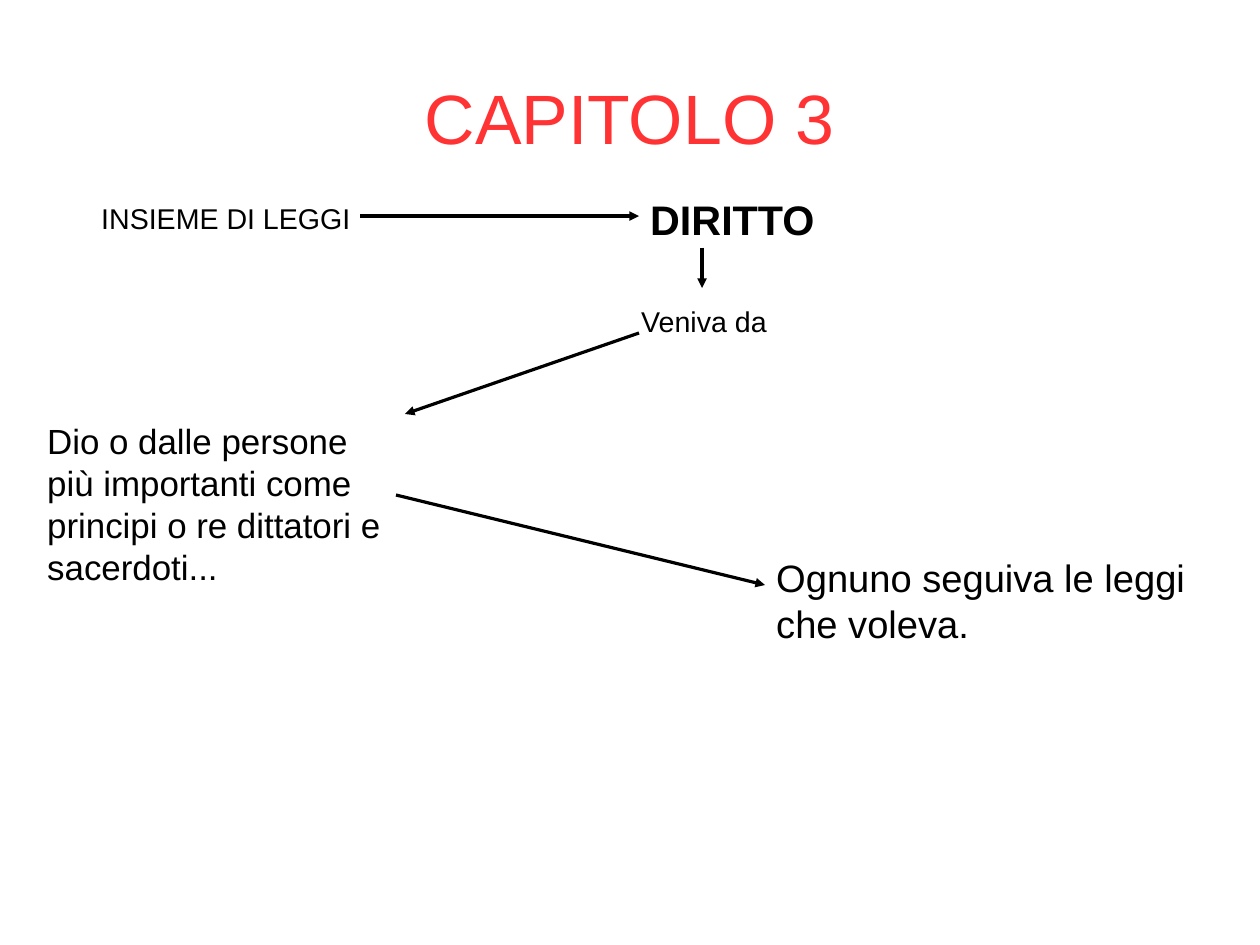
from pptx import Presentation
from pptx.dml.color import RGBColor
from pptx.enum import shapes, text
from pptx.oxml import ns
from pptx.util import Cm, Pt
from lxml import etree

COLOURS = {"title": "FF3333", "ink": "000000"}
FONT = "Arial"

NOTES = [
    ("INSIEME DI LEGGI", (1.2, 0.15, 9.8, 0.97), {"size": Pt(18)}),
    ("DIRITTO", (13.4, 0, 6.2, 1.27), {"size": Pt(26), "bold": True}),
    ("Veniva da", (13.2, 2.43, 4.2, 0.97), {"size": Pt(18)}),
    ("Dio o dalle persone più importanti come principi o re dittatori e sacerdoti...",
     (0, 5, 8, 3.73), {"size": Pt(22)}),
    ("Ognuno seguiva le leggi che voleva.", (16.2, 8, 10.2, 2.13), {"size": Pt(24)}),
]
ARROWS = [
    ((7.2, 0.6), (13.4, 0.6)),
    ((14.8, 1.3), (14.8, 2.2)),
    ((13.4, 3.2), (8.2, 5)),
    ((8, 6.8), (16.2, 8.8)),
]


def apply_format(target, values):
    """Set each attribute in the dict on the target."""
    for name, value in values.items():
        setattr(target, name, value)


def write_text(shape, wording, colour, frame_format, font_format):
    """Write one formatted paragraph into a shape."""
    frame = shape.text_frame
    apply_format(frame, {"word_wrap": True, **frame_format})
    frame.text = wording
    paragraph = frame.paragraphs[0]
    apply_format(paragraph.font, {"name": FONT, **font_format})
    paragraph.font.color.rgb = RGBColor.from_string(COLOURS[colour])
    return paragraph


def add_title(slide, box):
    """Place the red chapter title in its box."""
    title = slide.shapes.title
    left, top, width, height = map(Cm, box)
    apply_format(title, {"left": left, "top": top, "width": width, "height": height})
    margins = dict.fromkeys(
        ("margin_left", "margin_top", "margin_right", "margin_bottom"), 0)
    frame_format = {"vertical_anchor": text.MSO_ANCHOR.MIDDLE,
                    "auto_size": text.MSO_AUTO_SIZE.NONE, **margins}
    paragraph = write_text(title, "CAPITOLO 3", "title", frame_format, {"size": Pt(44)})
    paragraph.alignment = text.PP_ALIGN.CENTER


def add_note(slide, wording, box, font_format):
    """Add one text of the concept map."""
    shape = slide.shapes.add_textbox(*map(Cm, box))
    frame_format = {"auto_size": text.MSO_AUTO_SIZE.SHAPE_TO_FIT_TEXT}
    write_text(shape, wording, "ink", frame_format, font_format)


def add_arrow(slide, start, end):
    """Add a hairline arrow between two points."""
    arrow = slide.shapes.add_connector(
        shapes.MSO_CONNECTOR.STRAIGHT, *map(Cm, start + end))
    arrow.line.color.rgb = RGBColor.from_string(COLOURS["ink"])
    arrow.line.width = 0
    properties = arrow.element.spPr
    etree.SubElement(properties.find(ns.qn("a:ln")), ns.qn("a:tailEnd"), type="triangle")
    etree.SubElement(properties, ns.qn("a:effectLst"))


def add_concept_map(slide, box):
    """Place the texts and arrows relative to the box."""
    left, top = box[:2]
    for wording, (x, y, width, height), font_format in NOTES:
        add_note(slide, wording, (left + x, top + y, width, height), font_format)
    for points in ARROWS:
        start, end = [(left + x, top + y) for x, y in points]
        add_arrow(slide, start, end)


def main():
    """Build and save the presentation."""
    presentation = Presentation()
    apply_format(presentation, {"slide_width": Cm(28), "slide_height": Cm(21)})
    slide = presentation.slides.add_slide(presentation.slide_layouts[5])
    add_title(slide, (1.4, 0.84, 25.2, 3.5))
    add_concept_map(slide, (0.8, 4.2, 26.4, 10.13))
    presentation.save("out.pptx")


if __name__ == "__main__":
    main()
